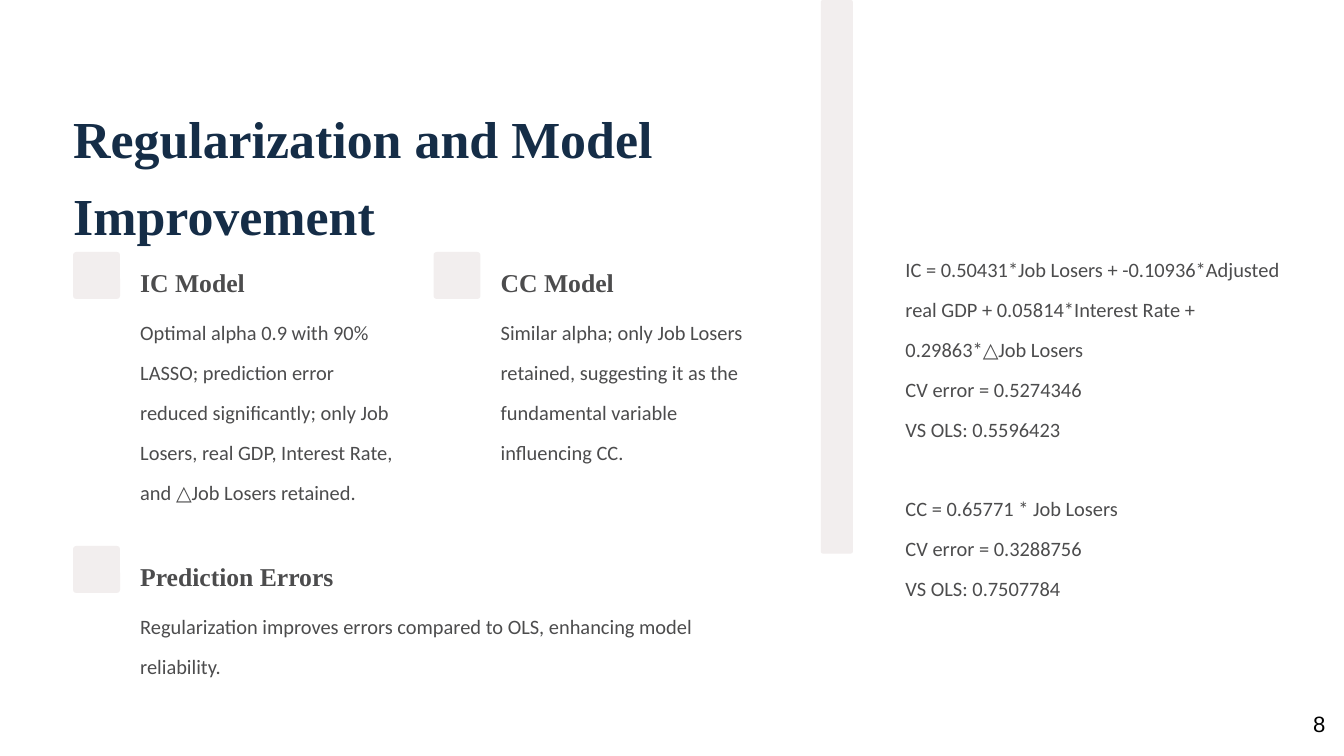
"""Build the slide on regularization and model improvement."""
from dataclasses import dataclass

from pptx import Presentation
from pptx.dml.color import RGBColor
from pptx.enum.shapes import MSO_SHAPE as Preset
from pptx.enum.text import MSO_ANCHOR as Anchor, MSO_AUTO_SIZE as AutoSize, PP_ALIGN as Align
from pptx.slide import Slide
from pptx.text.text import TextFrame
from pptx.util import Cm, Pt

NAVY = RGBColor(0x15, 0x2D, 0x47)
GREY = RGBColor(0x4C, 0x4C, 0x4D)
PALE = RGBColor(0xF2, 0xEE, 0xEE)
BLACK = RGBColor(0, 0, 0)


@dataclass(frozen=True)
class Style:
    font: str
    size: float
    color: RGBColor
    bold: bool = False
    spacing: float = 1.0
    align: Align = Align.LEFT
    inset: float = 0


@dataclass(frozen=True)
class Area:
    left: float
    top: float
    width: float
    height: float

    def lengths(self) -> tuple[Cm, Cm, Cm, Cm]:
        return Cm(self.left), Cm(self.top), Cm(self.width), Cm(self.height)


@dataclass(frozen=True)
class Finding:
    left: float
    top: float
    heading: str
    body: str
    width: float
    height: float


TITLE = Style("Times New Roman", 44.5, NAVY, bold=True, spacing=1.25)
HEADING = Style("Times New Roman", 22, GREY, bold=True, spacing=1.25)
BODY = Style("Calibri", 17.5, GREY, spacing=1.63)
NUMBER = Style("Arial", 19, BLACK, align=Align.RIGHT, inset=0.38)

LEFT, MIDDLE = 2.21, 13.11
UPPER, LOWER = 7.62, 16.51
MARKER_SIZE = 1.42
TEXT_INDENT = 2.03
MODEL_GAP = 34

FINDINGS = [
    Finding(LEFT, UPPER, "IC Model",
            "Optimal alpha 0.9 with 90% LASSO; prediction error reduced significantly; "
            "only Job Losers, real GDP, Interest Rate, and △Job Losers retained.", 8.05, 6.05),
    Finding(MIDDLE, UPPER, "CC Model",
            "Similar alpha; only Job Losers retained, suggesting it as the fundamental "
            "variable influencing CC.", 8.05, 4.04),
    Finding(LEFT, LOWER, "Prediction Errors",
            "Regularization improves errors compared to OLS, enhancing model reliability.",
            18.95, 2.01),
]
IC_RESULTS = [
    "IC = 0.50431*Job Losers + -0.10936*Adjusted real GDP + 0.05814*Interest Rate + "
    "0.29863*△Job Losers",
    "CV error = 0.5274346",
    "VS OLS: 0.5596423",
]
CC_RESULTS = ["CC = 0.65771 * Job Losers", "CV error = 0.3288756", "VS OLS: 0.7507784"]


def write(frame: TextFrame, text: str, style: Style) -> None:
    frame.text = text
    frame.word_wrap = True
    frame.auto_size = AutoSize.NONE
    frame.vertical_anchor = Anchor.TOP
    frame.margin_left = frame.margin_right = Cm(style.inset)
    frame.margin_top = frame.margin_bottom = Cm(style.inset)
    for para in frame.paragraphs:
        para.alignment = style.align
        para.line_spacing = style.spacing
        para.space_before = Pt(0)
        for span in para.runs:
            span.font.name = style.font
            span.font.size = Pt(style.size)
            span.font.bold = style.bold
            span.font.color.rgb = style.color


def add_text(page: Slide, area: Area, text: str, style: Style) -> TextFrame:
    frame = page.shapes.add_textbox(*area.lengths()).text_frame
    write(frame, text, style)
    return frame


def add_panel(page: Slide, area: Area) -> None:
    panel = page.shapes.add_shape(Preset.ROUNDED_RECTANGLE, *area.lengths())
    panel.adjustments[0] = 0.067
    panel.shadow.inherit = False
    panel.fill.solid()
    panel.fill.fore_color.rgb = PALE
    panel.line.fill.background()


def add_finding(page: Slide, item: Finding) -> None:
    text_left = item.left + TEXT_INDENT
    add_panel(page, Area(item.left, item.top, MARKER_SIZE, MARKER_SIZE))
    add_text(page, Area(text_left, item.top + 0.23, 7.87, 0.99), item.heading, HEADING)
    add_text(page, Area(text_left, item.top + 1.6, item.width, item.height), item.body, BODY)


def main() -> None:
    deck = Presentation()
    deck.slide_width, deck.slide_height = Cm(40.64), Cm(22.86)
    page = deck.slides.add_slide(deck.slide_layouts[5])

    title = page.shapes.title
    title.left, title.top, title.width, title.height = Area(LEFT, 2.74, 20.98, 3.94).lengths()
    write(title.text_frame, "Regularization and Model Improvement", TITLE)

    for item in FINDINGS:
        add_finding(page, item)

    results = add_text(page, Area(27.38, 7.32, 11.89, 10.46),
                       "\n".join(IC_RESULTS + CC_RESULTS), BODY)
    results.paragraphs[len(IC_RESULTS)].space_before = Pt(MODEL_GAP)

    add_panel(page, Area(24.82, 0, 0.97, 16.74))
    add_text(page, Area(38.02, 21.11, 2.44, 1.75), "8", NUMBER)
    deck.save("out.pptx")


if __name__ == "__main__":
    main()
